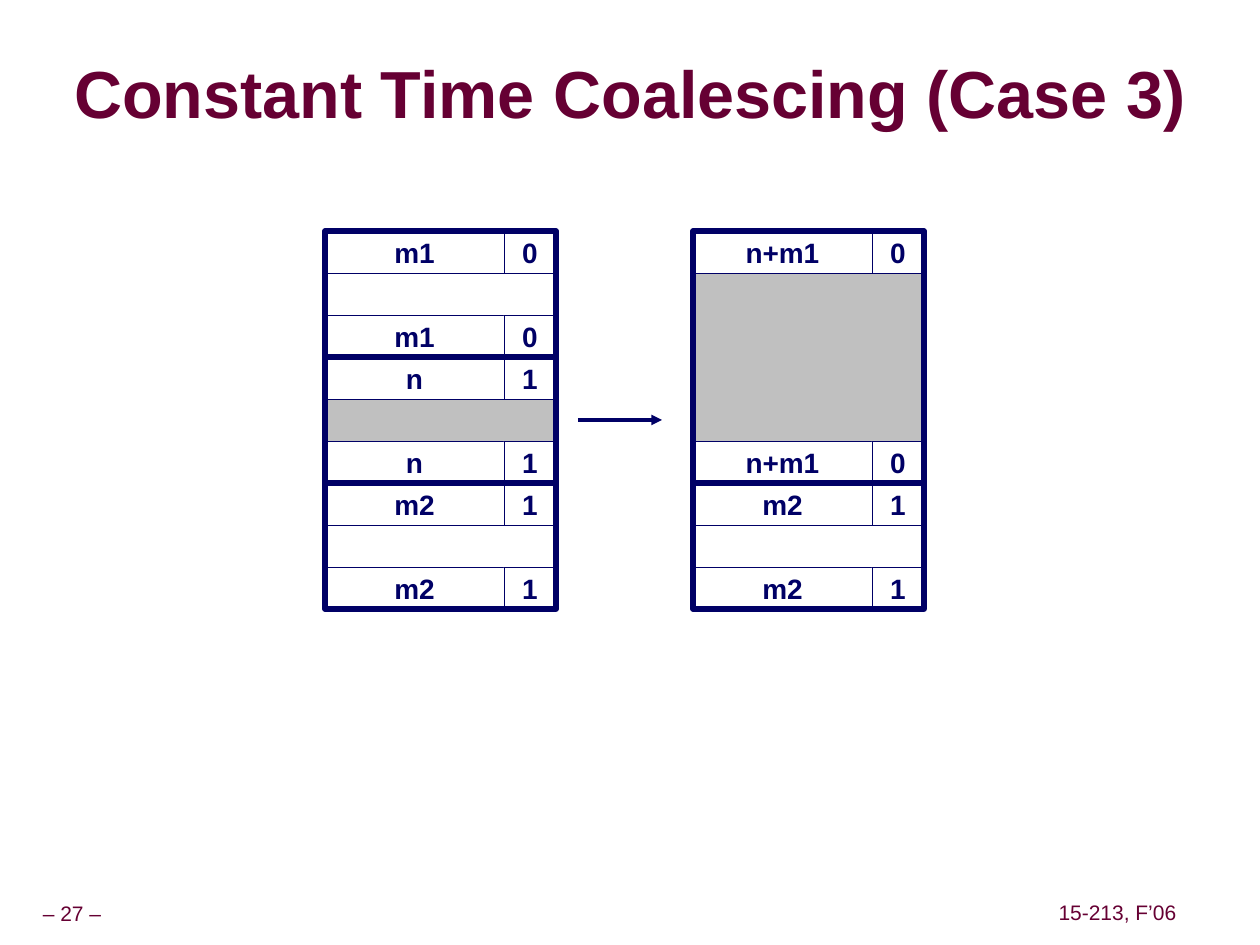
from dataclasses import dataclass

from lxml.etree import SubElement
from pptx import Presentation
from pptx.dml.color import RGBColor
from pptx.enum.shapes import MSO_CONNECTOR, MSO_SHAPE
from pptx.enum.text import MSO_ANCHOR, PP_ALIGN
from pptx.oxml import parse_xml
from pptx.oxml.ns import nsdecls, qn
from pptx.util import Emu, Pt


@dataclass(frozen=True)
class Theme:
    face: str = "Arial"
    ink: str = "000066"
    wine: str = "660033"
    white: str = "FFFFFF"
    gray: str = "C0C0C0"
    shade: str = "999999"
    head: int = 38
    cell: int = 16
    foot: int = 12
    thin: float = 0.25
    arrow: int = 2
    thick: int = 3


THEME = Theme()
ROW, WORD, FLAG = 42, 179, 52
WIDE = WORD + FLAG
TOP = 231


def px(count):
    return Emu(round(count * 914400 / 126))


def rgb(code):
    return RGBColor.from_string(code)


def assign(target, values):
    for name, value in values.items():
        setattr(target, name, value)


class Deck:
    """Holds the theme and the current slide."""

    def __init__(self, theme):
        self.theme = theme
        self.show = Presentation()
        assign(self.show, {"slide_width": px(1260), "slide_height": px(945)})
        self.slide = self.show.slides.add_slide(self.show.slide_layouts[5])

    def label(self, shape, text, size, color, bold=False, pad=(0, 0), **more):
        """Put one centred line of text into a shape."""
        side, edge = map(px, pad)
        frame = shape.text_frame
        assign(frame, {
            "word_wrap": False, "vertical_anchor": MSO_ANCHOR.MIDDLE,
            "margin_left": side, "margin_right": side,
            "margin_top": edge, "margin_bottom": edge,
        })
        para = frame.paragraphs[0]
        assign(para, {"alignment": PP_ALIGN.CENTER, **more})
        run = para.add_run()
        run.text = text
        assign(run.font, {"name": self.theme.face, "size": Pt(size), "bold": bold})
        run.font.color.rgb = rgb(color)
        return run

    def title(self, text, *box):
        look = self.theme
        shape = self.slide.shapes.title
        assign(shape, dict(zip(("left", "top", "width", "height"), map(px, box))))
        run = self.label(shape, text, look.head, look.wine, True, line_spacing=0.87)
        shape.text_frame.word_wrap = True
        fill = run.font._element.find(qn("a:solidFill"))
        fill.addnext(parse_xml(
            f'<a:effectLst {nsdecls("a")}>'
            '<a:outerShdw dist="53882" dir="2700000">'
            f'<a:srgbClr val="{look.shade}"/></a:outerShdw></a:effectLst>'))

    def note(self, text, *box):
        shape = self.slide.shapes.add_textbox(*map(px, box))
        self.label(shape, text, self.theme.foot, self.theme.wine,
                   pad=(6, 6), line_spacing=0.9)

    def rect(self, box, fill=None, line=THEME.thin, text=""):
        look = self.theme
        shape = self.slide.shapes.add_shape(MSO_SHAPE.RECTANGLE, *map(px, box))
        shape.shadow.inherit = False
        if fill:
            shape.fill.solid()
            shape.fill.fore_color.rgb = rgb(fill)
        else:
            shape.fill.background()
        shape.line.color.rgb = rgb(look.ink)
        shape.line.width = Pt(line)
        if text:
            self.label(shape, text, look.cell, look.ink, True, pad=(13, 6))

    def block(self, left, top, size, flag, rows, fill):
        """Draw header, payload and footer rows inside a thick frame."""
        look = self.theme
        last = top + (rows - 1) * ROW
        self.rect((left, top + ROW, WIDE, last - top - ROW), fill)
        for y in (top, last):
            self.rect((left, y, WORD, ROW), look.white, text=size)
            self.rect((left + WORD, y, FLAG, ROW), look.white, text=flag)
        self.rect((left, top, WIDE, rows * ROW), line=look.thick)

    def heap(self, left, blocks):
        """Stack blocks downwards."""
        top = TOP
        for size, flag, rows, fill in blocks:
            self.block(left, top, size, flag, rows, fill)
            top += rows * ROW

    def arrow(self, *ends):
        line = self.slide.shapes.add_connector(MSO_CONNECTOR.STRAIGHT, *map(px, ends))
        line.line.color.rgb = rgb(self.theme.ink)
        line.line.width = Pt(self.theme.arrow)
        frame = line._element.spPr
        SubElement(frame.find(qn("a:ln")), qn("a:tailEnd"), type="triangle")
        SubElement(frame, qn("a:effectLst"))


def main():
    deck = Deck(THEME)
    white, gray = THEME.white, THEME.gray
    deck.title("Constant Time Coalescing (Case 3)", 53, 58, 1155, 79)
    deck.heap(325, [
        ("m1", "0", 3, white),
        ("n", "1", 3, gray),
        ("m2", "1", 3, white),
    ])
    deck.arrow(578, 420, 662, 420)
    deck.heap(693, [
        ("n+m1", "0", 6, gray),
        ("m2", "1", 3, white),
    ])
    deck.note("– 27 –", 0, 897, 144, 35)
    deck.note("15-213, F’06", 1052, 896, 131, 35)
    deck.show.save("out.pptx")


if __name__ == "__main__":
    main()
